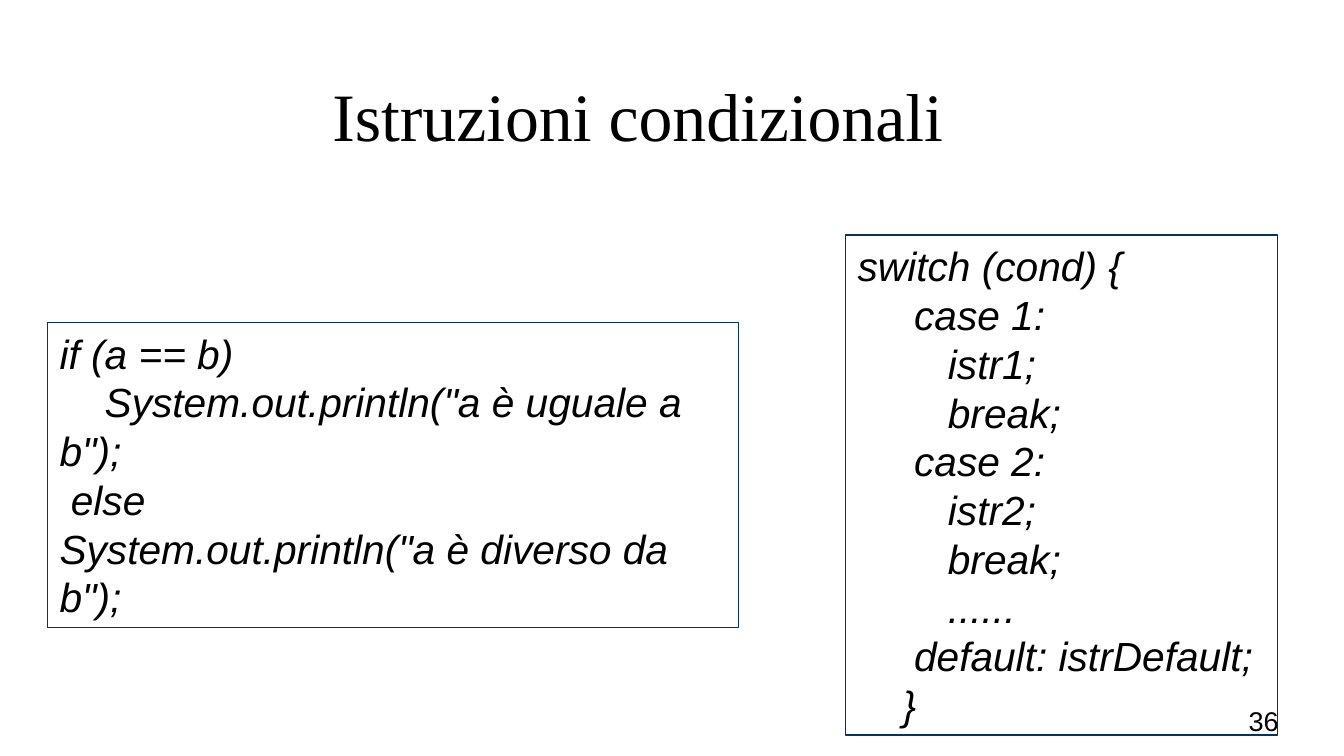
from copy import deepcopy

from pptx import Presentation
from pptx.dml.color import RGBColor
from pptx.enum.text import MSO_ANCHOR, MSO_AUTO_SIZE, PP_ALIGN
from pptx.util import Pt

COLORS = {"text": "000000", "border": "003366"}
SPACE = 6.67  # width of one space in 24 pt Arial


def add_run(paragraph, text, size, font, italic=False):
    run = paragraph.add_run()
    run.text = text
    run.font.size = Pt(size)
    run.font.name = font
    run.font.italic = italic
    run.font.color.rgb = RGBColor.from_string(COLORS["text"])


prs = Presentation()
prs.slide_width, prs.slide_height = Pt(793.44), Pt(446.4)
slide = prs.slides.add_slide(prs.slide_layouts[5])

# Title
title = slide.shapes.title
title.left, title.top, title.width, title.height = Pt(153), Pt(54.7), Pt(447), Pt(33.8)
heading = title.text_frame
heading.auto_size = MSO_AUTO_SIZE.NONE
heading.vertical_anchor = MSO_ANCHOR.MIDDLE
heading.paragraphs[0].alignment = PP_ALIGN.CENTER
heading.paragraphs[0].line_spacing = 0.85
add_run(heading.paragraphs[0], "Istruzioni condizionali", 40, "Times New Roman")

# Code boxes: position, then lines with their first-line indent in spaces
if_else = [
    (0, "if (a == b)"),
    (4, 'System.out.println("a è uguale a b");'),
    (1, "else"),
    (0, 'System.out.println("a è diverso da b");'),
]
switch_case = [
    (0, "switch (cond) {"),
    (5, "case 1:"),
    (8, "istr1;"),
    (8, "break;"),
    (5, "case 2:"),
    (8, "istr2;"),
    (8, "break;"),
    (8, "......"),
    (5, "default: istrDefault;"),
    (4, "}"),
]
code_boxes = [
    ((28.1, 190.4, 407.8, 180), if_else),
    ((499.2, 138.8, 254.9, 295.2), switch_case),
]
for bounds, code_lines in code_boxes:
    code_box = slide.shapes.add_textbox(*[Pt(length) for length in bounds])
    code_box.line.color.rgb = RGBColor.from_string(COLORS["border"])
    code_box.line.width = Pt(0.75)
    code = code_box.text_frame
    code.word_wrap = True
    for number, (indent, statement) in enumerate(code_lines):
        line = code.add_paragraph() if number else code.paragraphs[0]
        line.line_spacing = Pt(28.8)
        line._p.get_or_add_pPr().set("indent", str(int(Pt(indent * SPACE))))
        add_run(line, statement, 24, "Arial", italic=True)

# Page number
left, top, right, bottom = Pt(571.8), Pt(409.4), Pt(762), Pt(438.9)
outline = slide.shapes.build_freeform(left, top)
outline.add_line_segments([(right, top), (right, bottom), (left, bottom)], close=True)
page_number = outline.convert_to_shape()
page_number.shadow.inherit = False
page_number.fill.background()
page_number.line.fill.background()
page_text = page_number.text_frame
page_text.word_wrap = True
page_text.vertical_anchor = MSO_ANCHOR.BOTTOM
page_text.paragraphs[0].alignment = PP_ALIGN.RIGHT
add_run(page_text.paragraphs[0], "36", 16, "Arial")

# The title shares the outline of the page number
title._element.spPr.append(deepcopy(page_number._element.spPr.custGeom))

prs.save("out.pptx")
